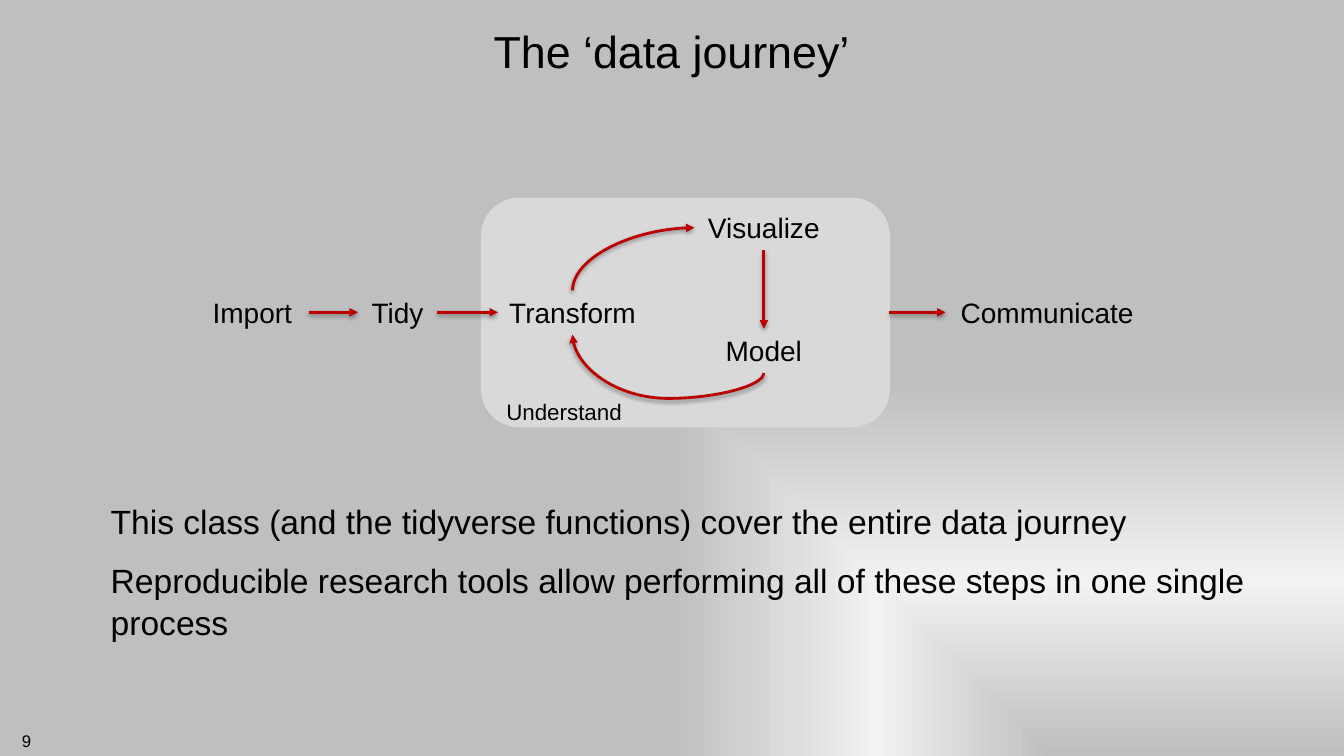
"""Build the 'data journey' slide: a workflow diagram above two statements."""
from dataclasses import dataclass

from lxml import etree
from pptx import Presentation
from pptx.dml.color import RGBColor
from pptx.enum.shapes import MSO_CONNECTOR, MSO_SHAPE
from pptx.enum.text import MSO_ANCHOR, PP_ALIGN
from pptx.oxml import parse_xml
from pptx.oxml.ns import nsdecls, qn
from pptx.util import Cm, Pt

LEFT, CENTER, RIGHT = PP_ALIGN.LEFT, PP_ALIGN.CENTER, PP_ALIGN.RIGHT
MIDDLE = MSO_ANCHOR.MIDDLE
STRAIGHT, CURVE = MSO_CONNECTOR.STRAIGHT, MSO_CONNECTOR.CURVE
ROUNDED = MSO_SHAPE.ROUNDED_RECTANGLE


@dataclass(frozen=True)
class Theme:
    font: str = "Arial"
    text: RGBColor = RGBColor(0, 0, 0)
    panel: RGBColor = RGBColor(0xD9, 0xD9, 0xD9)
    arrow: RGBColor = RGBColor(0xBB, 0, 0)
    backdrop: tuple = ((0, "BFBFBF"), (46, "F2F2F2"), (100, "BFBFBF"))
    title_size: int = 32
    body_size: int = 24
    stage_size: int = 20
    panel_size: int = 16
    number_size: int = 12


theme = Theme()


def add_text(shapes, area, lines, size, align=CENTER):
    box = shapes.add_textbox(*(Cm(length) for length in area))
    frame = box.text_frame
    frame.word_wrap = True
    frame.text = "\n".join(lines)
    for para in frame.paragraphs:
        para.alignment = align
        para.font.name = theme.font
        para.font.size = Pt(size)
        para.font.color.rgb = theme.text
    return frame


def add_arrow(shapes, kind, ends):
    connector = shapes.add_connector(kind, *(Cm(length) for length in ends))
    connector.line.color.rgb = theme.arrow
    connector.line.width = Pt(2)
    etree.SubElement(connector.line._get_or_add_ln(), qn("a:tailEnd"), type="triangle")
    properties = connector._element.spPr
    properties.append(parse_xml(
        f'<a:effectLst {nsdecls("a")}>'
        '<a:outerShdw blurRad="40000" dist="20000" dir="5400000" rotWithShape="0">'
        '<a:srgbClr val="000000"><a:alpha val="38000"/></a:srgbClr>'
        '</a:outerShdw></a:effectLst>'))
    return properties


deck = Presentation()
deck.slide_width, deck.slide_height = Cm(33.87), Cm(19.05)
page = deck.slides.add_slide(deck.slide_layouts[6])

stops = "".join(
    f'<a:gs pos="{percent * 1000}"><a:srgbClr val="{color}"/></a:gs>'
    for percent, color in theme.backdrop)
page._element.cSld.insert(0, parse_xml(
    f'<p:bg {nsdecls("p", "a")}><p:bgPr><a:gradFill rotWithShape="1">'
    f'<a:gsLst>{stops}</a:gsLst>'
    '<a:path path="rect"><a:fillToRect l="100000" t="100000"/></a:path>'
    '</a:gradFill><a:effectLst/></p:bgPr></p:bg>'))

number = add_text(page.shapes, (0, 18.29, 1.04, 0.76), ["9"], theme.number_size, RIGHT)
number.word_wrap = False

title = add_text(page.shapes, (2.54, 0, 28.78, 2.54), ["The ‘data journey’"], theme.title_size)
title.vertical_anchor = MIDDLE

statements = [
    "This class (and the tidyverse functions) cover the entire data journey",
    "Reproducible research tools allow performing all of these steps in one single process",
]
body = add_text(page.shapes, (2.18, 12.32, 29.95, 4.7), statements, theme.body_size, LEFT)
body.margin_top = body.margin_bottom = Cm(0.25)
for para in body.paragraphs:
    para.line_spacing = 1.05
    para._p.get_or_add_pPr().set("marL", str(Cm(0.36)))
body.paragraphs[1].space_before = Pt(12)

diagram = page.shapes.add_group_shape().shapes
panel = diagram.add_shape(ROUNDED, Cm(12.12), Cm(4.98), Cm(10.31), Cm(5.79))
panel.shadow.inherit = False
panel.fill.solid()
panel.fill.fore_color.rgb = theme.panel
panel.line.fill.background()

stages = [
    ("Import", 6.36, 7.32, 2.87),
    ("Tidy", 10.02, 7.32, 2.01),
    ("Transform", 14.43, 7.32, 3.76),
    ("Visualize", 19.25, 5.18, 3.51),
    ("Model", 19.25, 8.28, 2.54),
    ("Communicate", 26.39, 7.32, 5.13),
]
for name, middle, top, width in stages:
    add_text(diagram, (middle - width / 2, top, width, 1.12), [name], theme.stage_size)

straight_arrows = [
    (7.78, 7.87, 9.02, 7.87),
    (11.02, 7.87, 12.55, 7.87),
    (22.41, 7.87, 23.83, 7.87),
    (19.25, 6.3, 19.25, 8.28),
]
for ends in straight_arrows:
    add_arrow(diagram, STRAIGHT, ends)

curved_arrows = [
    ((19.25, 9.4, 14.43, 8.43), "curvedConnector3", -65900),
    ((14.43, 7.32, 17.5, 5.74), "curvedConnector2", None),
]
for (x1, y1, x2, y2), preset, bend in curved_arrows:
    middle_x, middle_y = (x1 + x2) / 2, (y1 + y2) / 2
    half_x, half_y = (x2 - x1) / 2, (y2 - y1) / 2
    unturned = (middle_x - half_y, middle_y + half_x, middle_x + half_y, middle_y - half_x)
    properties = add_arrow(diagram, CURVE, unturned)
    properties.find(qn("a:xfrm")).set("rot", "5400000")
    geometry = properties.find(qn("a:prstGeom"))
    geometry.set("prst", preset)
    if bend is not None:
        guides = geometry.find(qn("a:avLst"))
        etree.SubElement(guides, qn("a:gd"), name="adj1", fmla=f"val {bend}")

add_text(diagram, (11.79, 9.91, 4.85, 0.94), ["Understand"], theme.panel_size)

deck.save("out.pptx")
